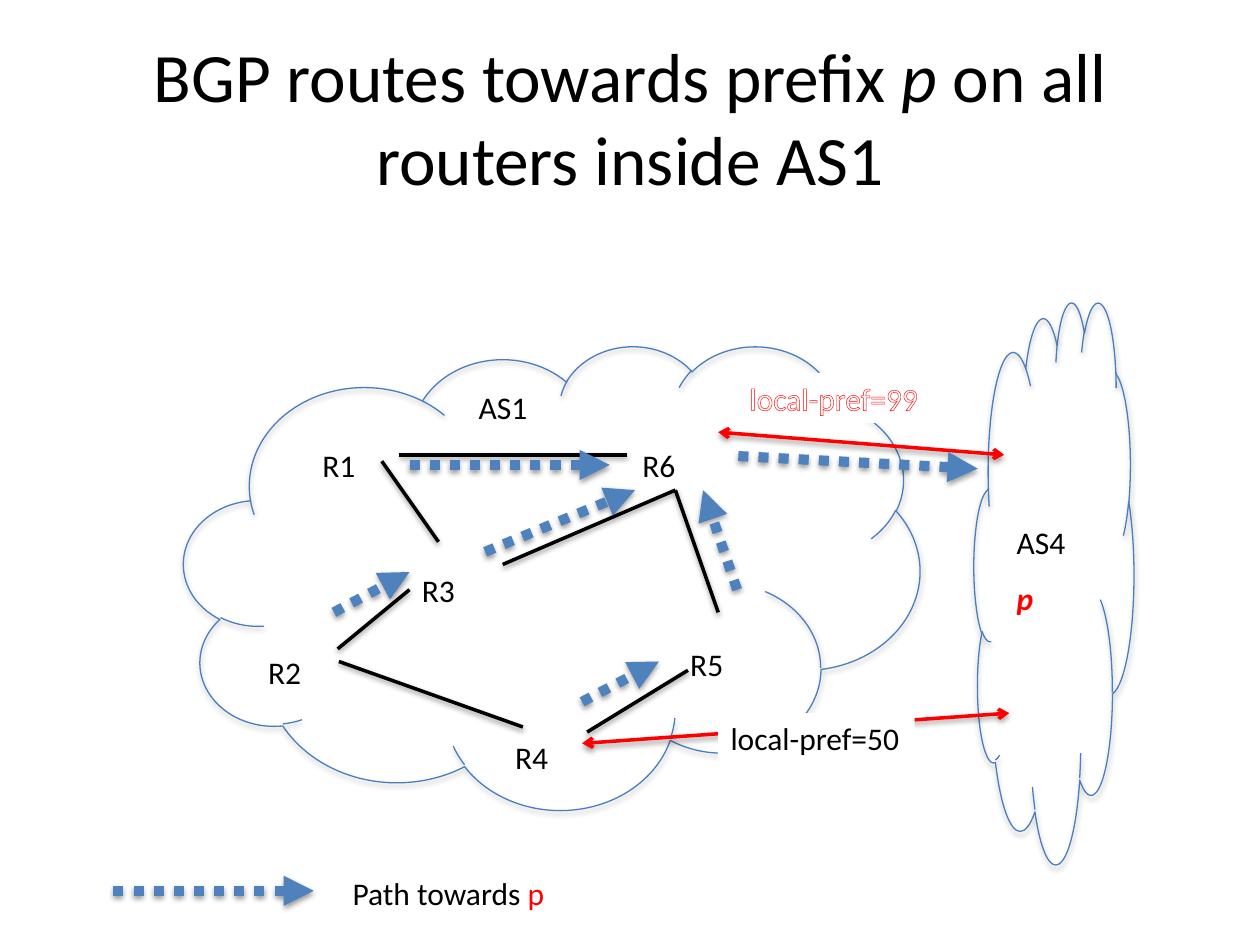
import lxml.etree
import pptx
import pptx.dml.color
import pptx.enum.dml
import pptx.enum.shapes
import pptx.enum.text
import pptx.oxml
import pptx.oxml.ns
import pptx.util

HUES = {"ink": "000000", "red": "FF0000", "white": "FFFFFF",
        "edge": "4B7EBC", "path": "4F81BD"}
WIDE, HIGH = pptx.util.Inches(10), pptx.util.Inches(7.5)
COLS, ROWS = 100, 75
NET = (14, 23, 77, 46)
KEY = (9, 68, 36, 6)

CLOUDS = [(0.6, 4.4, 58.4, 36.8), (63.3, 0.9, 12.7, 44.6)]
PEERS = [(32.2, 36, 66.1, 33.6), (43, 11.3, 65.7, 13.1)]
LINKS = [(16.3, 13.6, 20.8, 20), (17.7, 13.1, 35.8, 13.1),
         (12.9, 29.5, 27.5, 34.7), (25.9, 21.8, 39.6, 15.9),
         (12.8, 28.5, 18.5, 23.8), (32.6, 35.1, 40.6, 30.2),
         (43, 25.6, 39.6, 15.9)]
NAMES = [("AS1", 23, 7.3), ("R1", 10.6, 11.9), ("AS4", 65.7, 18),
         ("R2", 6.3, 28.3), ("R3", 18.5, 21.8), ("R4", 25.9, 35.1),
         ("R5", 39.8, 27.7), ("R6", 36, 11.9)]
PREFS = [("local-pref=50", 43, 33.6, "ink"),
         ("local-pref=99", 44.5, 6.6, "white")]
PATHS = [(18.5, 13.9, 34.4, 13.9), (44.5, 23.8, 41.8, 15.9),
         (24.5, 20.8, 36.4, 15.9), (32.2, 32.7, 38.3, 29.5),
         (12.5, 25.6, 18.5, 22.4), (44.6, 13.2, 63.6, 14.2)]


def tint(name):
    """Return the named colour."""
    return pptx.dml.color.RGBColor.from_string(HUES[name])


def spot(box, x, y):
    """Turn columns and rows inside a box into slide lengths."""
    return int((box[0] + x) * WIDE / COLS), int((box[1] + y) * HIGH / ROWS)


def shade(item, alpha, dist):
    """Give an item a soft shadow straight below it."""
    space = pptx.oxml.ns.nsdecls("a")
    item._element.spPr.append(pptx.oxml.parse_xml(
        f'<a:effectLst {space}><a:outerShdw blurRad="40000" dist="{dist}" '
        f'dir="5400000" rotWithShape="0"><a:srgbClr val="{HUES["ink"]}">'
        f'<a:alpha val="{alpha}"/></a:srgbClr></a:outerShdw></a:effectLst>'))


def cloud(slide, box, x, y, wide, high):
    """Draw an unfilled cloud."""
    kind = pptx.enum.shapes.MSO_SHAPE.CLOUD
    item = slide.shapes.add_shape(kind, *spot(box, x, y), *spot((0, 0), wide, high))
    item.fill.background()
    item.line.color.rgb = tint("edge")
    item.line.width = pptx.util.Pt(0.75)
    shade(item, 35000, 23000)


def wire(slide, box, ends, hue="ink", size=2, tips=(), dash=None):
    """Draw a line between two points with optional arrowheads."""
    kind = pptx.enum.shapes.MSO_CONNECTOR.STRAIGHT
    item = slide.shapes.add_connector(
        kind, *spot(box, *ends[:2]), *spot(box, *ends[2:]))
    item.line.color.rgb = tint(hue)
    item.line.width = pptx.util.Pt(size)
    if dash:
        item.line.dash_style = dash
    edge = item.line._get_or_add_ln()
    for tag, tip in tips:
        lxml.etree.SubElement(edge, pptx.oxml.ns.qn(tag), type=tip)
    shade(item, 38000, 20000)


def trail(slide, box, ends):
    """Draw a dotted path arrow."""
    wire(slide, box, ends, "path", 5.75, [("a:tailEnd", "triangle")],
         pptx.enum.dml.MSO_LINE.ROUND_DOT)


def label(slide, box, x, y, wide, parts):
    """Write coloured pieces of text on one line."""
    item = slide.shapes.add_textbox(*spot(box, x, y), *spot((0, 0), wide, 4))
    frame = item.text_frame
    frame.word_wrap = False
    frame.auto_size = pptx.enum.text.MSO_AUTO_SIZE.SHAPE_TO_FIT_TEXT
    for text, hue in parts:
        run = frame.paragraphs[0].add_run()
        run.text = text
        run.font.name = "Calibri"
        run.font.size = pptx.util.Pt(18)
        run.font.color.rgb = tint(hue)
    return item


def pref(slide, box, text, x, y, hue):
    """Write a preference on white with outlined letters."""
    item = label(slide, box, x, y, 15.6, [(text, hue)])
    item.fill.solid()
    item.fill.fore_color.rgb = tint("white")
    font = item.text_frame.paragraphs[0].runs[0].font
    space = pptx.oxml.ns.nsdecls("a")
    font._element.insert(0, pptx.oxml.parse_xml(
        f'<a:ln {space} w="9525"><a:solidFill><a:srgbClr val="{HUES["red"]}"/>'
        '</a:solidFill></a:ln>'))


def title(slide, box):
    """Place and fill the title."""
    item = slide.shapes.title
    item.left, item.top = spot(box, 0, 0)
    item.width, item.height = spot((0, 0), *box[2:])
    frame = item.text_frame
    frame.vertical_anchor = pptx.enum.text.MSO_ANCHOR.MIDDLE
    para = frame.paragraphs[0]
    para.alignment = pptx.enum.text.PP_ALIGN.CENTER
    for text in ("BGP routes towards prefix ", "p", " on all routers inside AS1"):
        run = para.add_run()
        run.text = text
        run.font.name = "Calibri"
        run.font.size = pptx.util.Pt(39.6)
        run.font.italic = text == "p"
        run.font.color.rgb = tint("ink")


def network(slide, box):
    """Draw both systems, their routers, links and paths."""
    for area in CLOUDS:
        cloud(slide, box, *area)
    for ends in PEERS:
        wire(slide, box, ends, "red",
             tips=[("a:headEnd", "arrow"), ("a:tailEnd", "arrow")])
    for ends in LINKS:
        wire(slide, box, ends)
    for text, x, y in NAMES:
        label(slide, box, x, y, 5.9 if "AS" in text else 4.7, [(text, "ink")])
    goal = label(slide, box, 65.7, 22.5, 3.4, [("p", "red")])
    font = goal.text_frame.paragraphs[0].runs[0].font
    font.bold = font.italic = True
    for entry in PREFS:
        pref(slide, box, *entry)
    for ends in PATHS:
        trail(slide, box, ends)


def legend(slide, box):
    """Explain the dotted arrow."""
    trail(slide, box, (0, 2.7, 15.9, 2.7))
    label(slide, box, 18, 0.9, 17.4, [("Path towards ", "ink"), ("p", "red")])


def main():
    """Build and save the slide."""
    deck = pptx.Presentation()
    deck.slide_width, deck.slide_height = WIDE, HIGH
    slide = deck.slides.add_slide(deck.slide_layouts[5])
    title(slide, (5, 3, 90, 12.5))
    network(slide, NET)
    legend(slide, KEY)
    deck.save("out.pptx")


if __name__ == "__main__":
    main()
